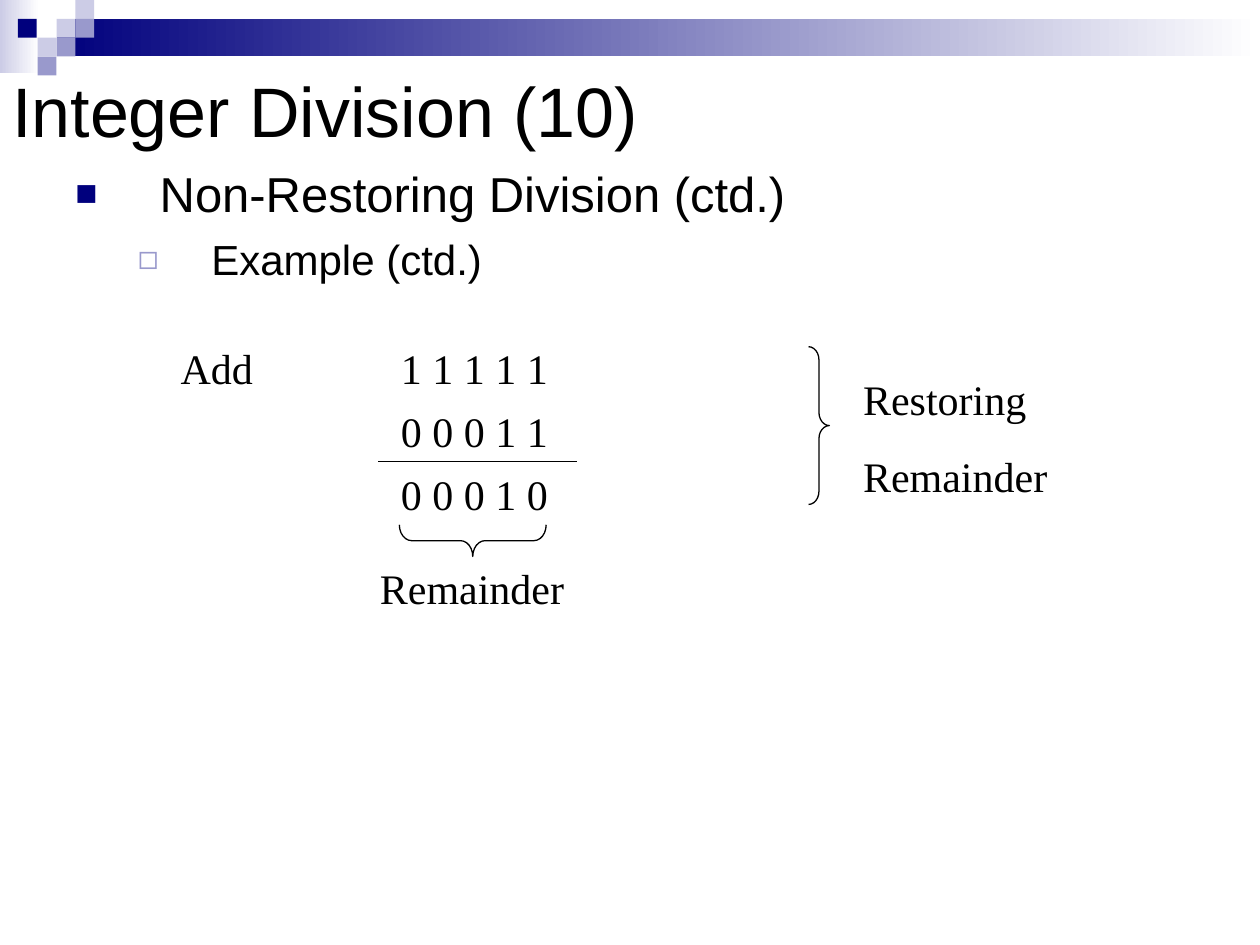
from lxml import etree
from pptx import Presentation
from pptx.dml.color import RGBColor
from pptx.enum.shapes import MSO_CONNECTOR, MSO_SHAPE
from pptx.enum.text import MSO_ANCHOR
from pptx.oxml.ns import qn
from pptx.util import Cm, Pt

RECT, BRACE = MSO_SHAPE.RECTANGLE, MSO_SHAPE.RIGHT_BRACE
STRAIGHT = MSO_CONNECTOR.STRAIGHT
TOP, MIDDLE = MSO_ANCHOR.TOP, MSO_ANCHOR.MIDDLE

BLACK, WHITE = "000000", "FFFFFF"
NAVY, VIOLET, PALE = "00007D", "9999CC", "CCCCE6"
UNIT = 0.38  # side of a header square, cm


def rgb(value):
    return RGBColor.from_string(value)


class Deck:
    heading = {"name": "Arial", "size": Pt(40)}
    body = {"name": "Arial", "size": Pt(28)}
    sub = {"name": "Arial", "size": Pt(24)}
    label = {"name": "Times New Roman", "size": Pt(24)}
    line_width = Pt(0.75)

    def __init__(self, prs):
        self.s = prs.slides.add_slide(prs.slide_layouts[6])

    def rect(self, x, y, w, h, color, fade_to=None):
        sp = self.s.shapes.add_shape(RECT, Cm(x), Cm(y), Cm(w), Cm(h))
        sp.shadow.inherit = False
        sp.line.fill.background()
        if fade_to:
            sp.fill.gradient()
            sp.fill.gradient_angle = 0
            for stop, c, pos in zip(sp.fill.gradient_stops, (color, fade_to), (0, 1)):
                stop.color.rgb = rgb(c)
                stop.position = pos
        else:
            sp.fill.solid()
            sp.fill.fore_color.rgb = rgb(color)

    def stroke(self, sp):
        sp.line.color.rgb = rgb(BLACK)
        sp.line.width = self.line_width

    def brace(self, x, y, w, h, rotation=0):
        sp = self.s.shapes.add_shape(BRACE, Cm(x), Cm(y), Cm(w), Cm(h))
        sp.shadow.inherit = False
        sp.fill.background()
        sp.rotation = rotation
        sp.adjustments[0] = h / 12 / w
        self.stroke(sp)

    def line(self, x1, y1, x2, y2):
        cn = self.s.shapes.add_connector(STRAIGHT, Cm(x1), Cm(y1), Cm(x2), Cm(y2))
        etree.SubElement(cn._element.spPr, qn("a:effectLst"))
        self.stroke(cn)

    def text_box(self, x, y, w, h, anchor=TOP):
        tf = self.s.shapes.add_textbox(Cm(x), Cm(y), Cm(w), Cm(h)).text_frame
        tf.word_wrap = True
        tf.vertical_anchor = anchor
        return tf

    def paragraph(self, tf, text, style, before=0, bullet=None):
        first = not tf.paragraphs[0].runs
        p = tf.paragraphs[0] if first else tf.add_paragraph()
        if not first:
            p.space_before = Pt(before)
        if bullet:
            self.bullet(p, **bullet)
        r = p.add_run()
        r.text = text
        for name, value in style.items():
            setattr(r.font, name, value)
        r.font.color.rgb = rgb(BLACK)

    def bullet(self, p, char, color, percent, left, hang, level=0):
        p.level = level
        pPr = p._p.get_or_add_pPr()
        pPr.set("marL", str(Cm(left)))
        pPr.set("indent", str(-Cm(hang)))
        clr = etree.SubElement(pPr, qn("a:buClr"))
        etree.SubElement(clr, qn("a:srgbClr"), val=color)
        etree.SubElement(pPr, qn("a:buSzPct"), val=str(percent * 1000))
        etree.SubElement(pPr, qn("a:buFont"), typeface="Arial")
        etree.SubElement(pPr, qn("a:buChar"), char=char)

    def labels(self, x, y, w, h, *texts):
        tf = self.text_box(x, y, w, h)
        for text in texts:
            self.paragraph(tf, text, self.label, before=15)


def main():
    prs = Presentation()
    prs.slide_width, prs.slide_height = Cm(25.4), Cm(19.05)
    deck = Deck(prs)

    # Header band and squares
    deck.rect(0, 0, 0.79, 1.47, PALE, WHITE)
    deck.rect(3 * UNIT, UNIT, 25.4 - 3 * UNIT, 2 * UNIT, NAVY, WHITE)
    squares = [(3, 1, PALE), (4, 0, PALE), (4, 1, VIOLET), (2, 2, PALE),
               (0.95, 1, NAVY), (3, 2, VIOLET), (2, 3, VIOLET)]
    for col, row, color in squares:
        deck.rect(col * UNIT, row * UNIT, UNIT, UNIT, color)

    # Title and bullets
    tf = deck.text_box(0, 0.84, 25.4, 2.74, MIDDLE)
    deck.paragraph(tf, "Integer Division (10)", deck.heading)
    tf = deck.text_box(1.27, 3.18, 22.43, 15.24)
    deck.paragraph(tf, "Non-Restoring Division (ctd.)", deck.body, bullet={
        "char": "■", "color": NAVY, "percent": 75, "left": 1.7, "hang": 1.7})
    deck.paragraph(tf, "Example (ctd.)", deck.sub, before=6, bullet={
        "char": "◻", "color": VIOLET, "percent": 80, "left": 2.74, "hang": 1.48,
        "level": 1})

    # Addition
    deck.labels(3.39, 6.77, 3.6, 1.27, "Add")
    for i, bits in enumerate(("1 1 1 1 1", "0 0 0 1 1", "0 0 0 1 0")):
        deck.labels(7.83, 6.77 + 1.27 * i, 3.6, 1.27, bits)
    deck.line(7.62, 9.31, 11.64, 9.31)

    # Braces and their labels
    deck.brace(9.21, 9.42, 0.64, 2.96, rotation=90)
    deck.labels(7.41, 11.22, 5.29, 1.27, "Remainder")
    deck.brace(16.3, 6.99, 0.42, 3.18)
    deck.labels(17.15, 7.41, 5.08, 2.82, "Restoring", "Remainder")

    prs.save("out.pptx")


if __name__ == "__main__":
    main()
